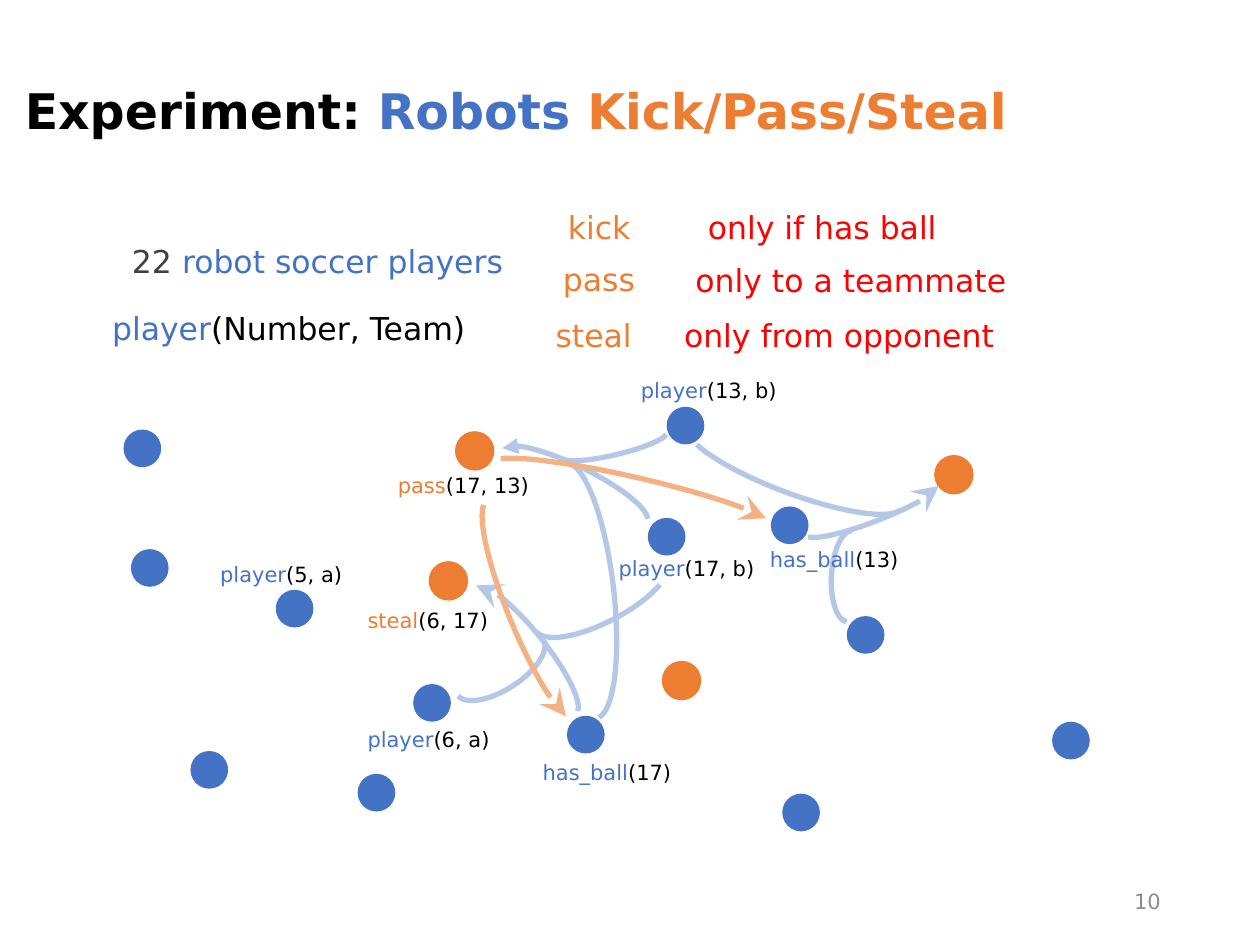
import pptx
import pptx.dml.color
import pptx.enum.shapes
import pptx.enum.text
import pptx.oxml
import pptx.oxml.ns
import pptx.util

Cm = pptx.util.Cm
FONT = "DejaVu Sans"
BLACK, RED, DARK_GRAY, GRAY = "000000", "FF0000", "404040", "8C8C8C"
BLUE, ORANGE = "4472C4", "ED7D31"
PALE_BLUE, PALE_ORANGE = "B4C7E7", "F4B183"
NODE_SIZE = 0.76
# Degrees clockwise from the right: nearly the right half of an ellipse
ARC_START, ARC_END = 271.44, 88.16

# Node positions: left, top
FACTS = [
    (5.56, 11.89), (8.33, 13.79), (7.21, 15.6), (13.06, 10.44), (11.43, 14.43),
    (2.64, 11.07), (3.84, 15.14), (15.77, 16), (17.07, 12.42), (21.21, 14.55),
    (13.44, 8.2), (2.49, 8.66), (15.54, 10.21),
]
EVENTS = [(9.19, 8.71), (18.85, 9.19), (8.66, 11.33), (13.36, 13.34)]

# Node labels: left, top, width, colour of the predicate, predicate, arguments
LABELS = [
    (7.16, 14.53, 3.07, BLUE, "player", "(6, a)"),
    (4.19, 11.2, 3.07, BLUE, "player", "(5, a)"),
    (10.69, 15.19, 3.23, BLUE, "has_ball", "(17)"),
    (7.77, 9.4, 3.28, ORANGE, "pass", "(17, 13)"),
    (7.16, 12.12, 3.05, ORANGE, "steal", "(6, 17)"),
    (12.22, 11.07, 3.35, BLUE, "player", "(17, b)"),
    (12.67, 7.49, 3.35, BLUE, "player", "(13, b)"),
    (15.27, 10.9, 3.23, BLUE, "has_ball", "(13)"),
]

# Explanations: left, top, width, runs
NOTES = [
    (2.41, 4.75, 8.31, [("22 ", DARK_GRAY), ("robot soccer players", BLUE)]),
    (2.01, 6.1, 7.72, [("player", BLUE), ("(Number, Team)", BLACK)]),
    (11.2, 4.06, 1.78, [("kick", ORANGE)]),
    (11.1, 5.11, 1.96, [("pass", ORANGE)]),
    (10.95, 6.25, 2.06, [("steal", ORANGE)]),
    (14.02, 4.06, 5.21, [("only if has ball", RED)]),
    (13.77, 5.13, 6.86, [("only to a teammate", RED)]),
    (13.54, 6.25, 6.86, [("only from opponent", RED)]),
]

# Curves: left, top, width, height, rotation, then options
ARCS = [
    (9.63, 12.42, 0.91, 2.06, 57.4, {}),
    (15.49, 7.11, 1.07, 4.62, 110.4, {"end": 82.58}),
    (10.19, 11.46, 0.79, 3.28, 321.2, {"head": "stealth"}),
    (11.61, 10.52, 1.04, 3, 62.5, {"start": 286.28}),
    (11.18, 8.15, 0.79, 3.28, 296.1, {"head": "triangle"}),
    (11.05, 9.32, 1.32, 5.18, 173.3, {"flip": True}),
    (12.19, 7.9, 0.38, 2.16, 76.6, {}),
    (10.26, 9.91, 0.97, 4.83, 157.5,
     {"start": 275.11, "end": 87.61, "head": "stealth", "color": PALE_ORANGE}),
    (12.42, 7.04, 0.71, 5.87, 102.9,
     {"start": 272.9, "end": 87.61, "head": "stealth", "color": PALE_ORANGE, "flip": True}),
    (17.35, 8.84, 0.48, 2.87, 68.9, {"head": "stealth"}),
    (16.76, 10.69, 0.76, 1.85, 183.3, {}),
]


def set_color(color_format, value):
    color_format.rgb = pptx.dml.color.RGBColor.from_string(value)


def add_text(slide, left, top, width, height, runs, size, bold=False, fixed=False):
    """Add one paragraph of coloured runs; a fixed box wraps and centres vertically."""
    box = slide.shapes.add_textbox(Cm(left), Cm(top), Cm(width), Cm(height))
    frame = box.text_frame
    frame.word_wrap = fixed
    if fixed:
        frame.vertical_anchor = pptx.enum.text.MSO_ANCHOR.MIDDLE
    else:
        frame.auto_size = pptx.enum.text.MSO_AUTO_SIZE.SHAPE_TO_FIT_TEXT
    paragraph = frame.paragraphs[0]
    for text, color in runs:
        run = paragraph.add_run()
        run.text = text
        run.font.name = FONT
        run.font.size = pptx.util.Pt(size)
        run.font.bold = bold
        set_color(run.font.color, color)
    return paragraph


def add_node(slide, left, top, color, outlined=False):
    node = slide.shapes.add_shape(
        pptx.enum.shapes.MSO_SHAPE.OVAL, Cm(left), Cm(top), Cm(NODE_SIZE), Cm(NODE_SIZE))
    node.shadow.inherit = False
    node.fill.solid()
    set_color(node.fill.fore_color, color)
    if outlined:
        set_color(node.line.color, color)
        node.line.width = pptx.util.Pt(1)
    else:
        node.line.fill.background()


def add_arc(slide, left, top, width, height, rotation,
            start=ARC_START, end=ARC_END, head=None, color=PALE_BLUE, flip=False):
    arc = slide.shapes.add_shape(
        pptx.enum.shapes.MSO_SHAPE.ARC, Cm(left), Cm(top), Cm(width), Cm(height))
    arc.shadow.inherit = False
    arc.fill.background()
    arc.rotation = rotation
    # Angles are stored as 60000ths of a degree, adjustments as 100000ths
    arc.adjustments[0] = start * 0.6
    arc.adjustments[1] = end * 0.6
    set_color(arc.line.color, color)
    arc.line.width = pptx.util.Pt(3)
    properties = arc.element.spPr
    if flip:
        properties.get_or_add_xfrm().set("flipH", "1")
    if head:
        size = "lg" if head == "stealth" else "med"
        properties.get_or_add_ln().append(pptx.oxml.parse_xml(
            f'<a:headEnd {pptx.oxml.ns.nsdecls("a")} type="{head}" w="{size}" len="{size}"/>'))


def main():
    presentation = pptx.Presentation()
    presentation.slide_width = Cm(25.4)
    presentation.slide_height = Cm(19.05)
    slide = presentation.slides.add_slide(presentation.slide_layouts[6])

    # Title and page number
    title = add_text(
        slide, 0.25, 1.02, 24.89, 2.54,
        [("Experiment: ", BLACK), ("Robots ", BLUE), ("Kick/Pass/Steal", ORANGE)],
        28, bold=True, fixed=True)
    title.line_spacing = 0.9
    number = add_text(slide, 17.93, 17.65, 5.72, 1.02, [("10", GRAY)], 12, fixed=True)
    number.alignment = pptx.enum.text.PP_ALIGN.RIGHT

    # Facts, events and the curves between them
    for left, top in FACTS:
        add_node(slide, left, top, BLUE)
    for left, top in EVENTS:
        add_node(slide, left, top, ORANGE, outlined=True)
    for *place, options in ARCS:
        add_arc(slide, *place, **options)

    # Texts
    for left, top, width, color, predicate, arguments in LABELS:
        add_text(slide, left, top, width, 0.76, [(predicate, color), (arguments, BLACK)], 12)
    for left, top, width, runs in NOTES:
        add_text(slide, left, top, width, 1.02, runs, 18)

    presentation.save("out.pptx")


if __name__ == "__main__":
    main()
